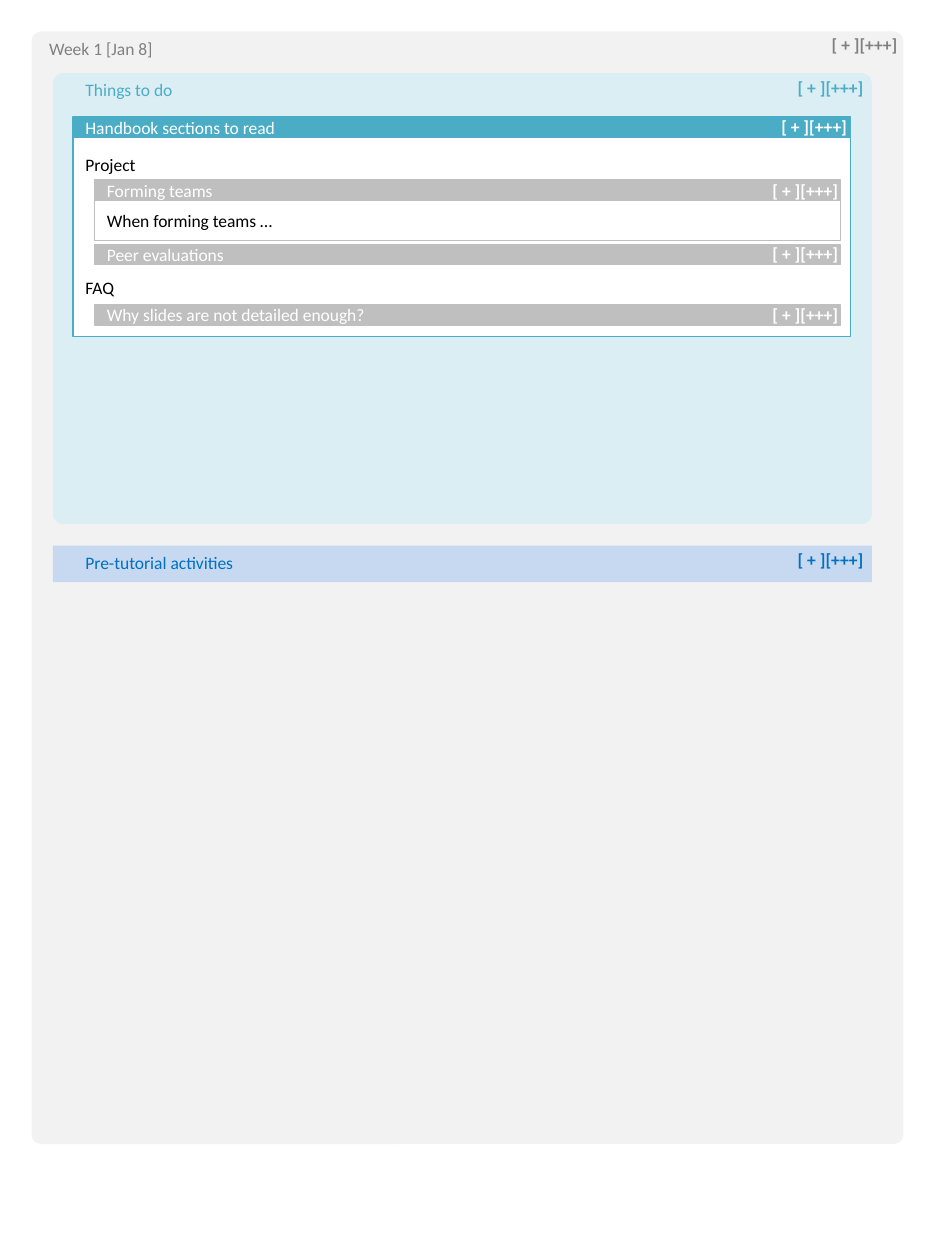
from dataclasses import dataclass
from typing import Optional

from pptx import Presentation
from pptx import util as u
from pptx.dml.color import RGBColor
from pptx.enum import shapes, text


@dataclass(frozen=True)
class Theme:
    font: str = "Calibri"
    size: float = 10
    line: float = 0.75
    white: str = "FFFFFF"
    black: str = "000000"
    gray: str = "808080"
    silver: str = "BFBFBF"
    page: str = "F2F2F2"
    teal: str = "4BACC6"
    pale_teal: str = "DBEEF4"
    blue: str = "0070C0"
    pale_blue: str = "C6D9F1"


@dataclass(frozen=True)
class Box:
    left: float
    top: float
    width: float
    height: float
    fill: str
    line: Optional[str] = None
    label: str = ""
    color: str = "FFFFFF"
    corner: Optional[float] = None


@dataclass(frozen=True)
class Label:
    words: str
    left: float
    top: float
    width: float
    color: str


T = Theme()
LABEL_H = 0.27
BAR_H = 0.16
TOGGLE_W = 1.08


def place(sp, left: float, top: float, width: float, height: float) -> None:
    sp.left, sp.top = u.Inches(left), u.Inches(top)
    sp.width, sp.height = u.Inches(width), u.Inches(height)


def write(tf, words: str, *, color: str, bold: bool = False,
          align=text.PP_ALIGN.LEFT, anchor=text.MSO_ANCHOR.TOP) -> None:
    tf.word_wrap = True
    tf.vertical_anchor = anchor
    tf.margin_left = tf.margin_right = u.Inches(0.1)
    tf.margin_top = tf.margin_bottom = u.Inches(0.05)
    p = tf.paragraphs[0]
    p.alignment = align
    r = p.add_run()
    r.text = words
    r.font.name, r.font.size, r.font.bold = T.font, u.Pt(T.size), bold
    r.font.color.rgb = RGBColor.from_string(color)


def add_box(s, box: Box) -> None:
    kind = shapes.MSO_SHAPE.RECTANGLE if box.corner is None else shapes.MSO_SHAPE.ROUNDED_RECTANGLE
    sp = s.shapes.add_shape(kind, *map(u.Inches, (box.left, box.top, box.width, box.height)))
    sp.shadow.inherit = False
    if box.corner is not None:
        sp.adjustments[0] = box.corner
    sp.fill.solid()
    sp.fill.fore_color.rgb = RGBColor.from_string(box.fill)
    if box.line:
        sp.line.color.rgb = RGBColor.from_string(box.line)
        sp.line.width = u.Pt(T.line)
    else:
        sp.line.fill.background()
    if box.label:
        write(sp.text_frame, box.label, color=box.color, anchor=text.MSO_ANCHOR.MIDDLE)


def add_label(s, label: Label, **fmt) -> None:
    sp = s.shapes.add_textbox(*map(u.Inches, (label.left, label.top, label.width, LABEL_H)))
    write(sp.text_frame, label.words, color=label.color, **fmt)


def item_bar(top: float, label: str) -> Box:
    return Box(0.75, top, 5.92, BAR_H, T.silver, T.silver, label)


BOXES = [
    # Week panel and its sections
    Box(0.25, 0.25, 6.92, 8.83, T.page, corner=0.011),
    Box(0.42, 0.58, 6.5, 3.58, T.pale_teal, corner=0.023),
    Box(0.42, 4.33, 6.5, 0.29, T.pale_blue, corner=0.023),
    # Handbook panel
    Box(0.58, 0.93, 6.17, BAR_H, T.teal, T.teal, "Handbook sections to read"),
    Box(0.58, 1.09, 6.17, 1.58, T.white, T.teal),
    # Handbook items
    item_bar(1.43, "Forming teams"),
    Box(0.75, 1.59, 5.92, 0.32, T.white, T.silver, "When forming teams …", T.black),
    item_bar(1.94, "Peer evaluations"),
    item_bar(2.42, "Why slides are not detailed enough?"),
]

LABELS = [
    Label("Things to do", 0.58, 0.58, 3.25, T.teal),
    Label("Project", 0.58, 1.17, 0.75, T.black),
    Label("FAQ", 0.58, 2.15, 0.75, T.black),
    Label("Pre-tutorial activities", 0.58, 4.33, 3.25, T.blue),
]

TOGGLES = [
    Label("[ + ][+++]", left, top, TOGGLE_W, color)
    for left, top, color in [
        (6.14, 0.22, T.gray),
        (5.87, 0.56, T.teal),
        (5.74, 0.87, T.white),
        (5.67, 1.38, T.white),
        (5.67, 1.88, T.white),
        (5.67, 2.36, T.white),
        (5.87, 4.31, T.blue),
    ]
]

prs = Presentation()
prs.slide_width, prs.slide_height = u.Inches(7.5), u.Inches(10)
s = prs.slides.add_slide(prs.slide_layouts[5])

for box in BOXES:
    add_box(s, box)

# Week title, brought in front of the panels
title = s.shapes.title
place(title, 0.29, 0.25, 3.25, LABEL_H)
write(title.text_frame, "Week 1 [Jan 8]", color=T.gray)
title.text_frame.auto_size = text.MSO_AUTO_SIZE.NONE
s.shapes.element.append(title.element)

# Section names and expand controls
for label in LABELS:
    add_label(s, label)
for toggle in TOGGLES:
    add_label(s, toggle, bold=True, align=text.PP_ALIGN.RIGHT)

prs.save("out.pptx")
